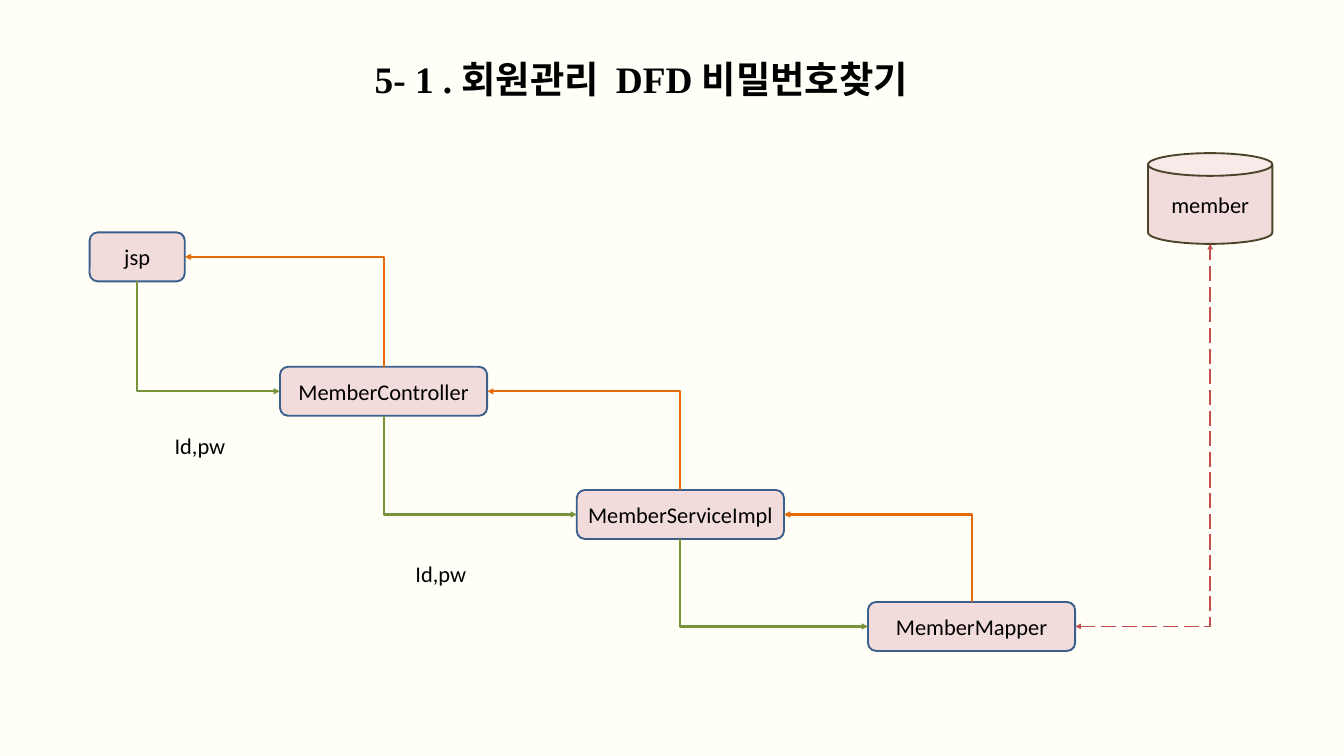
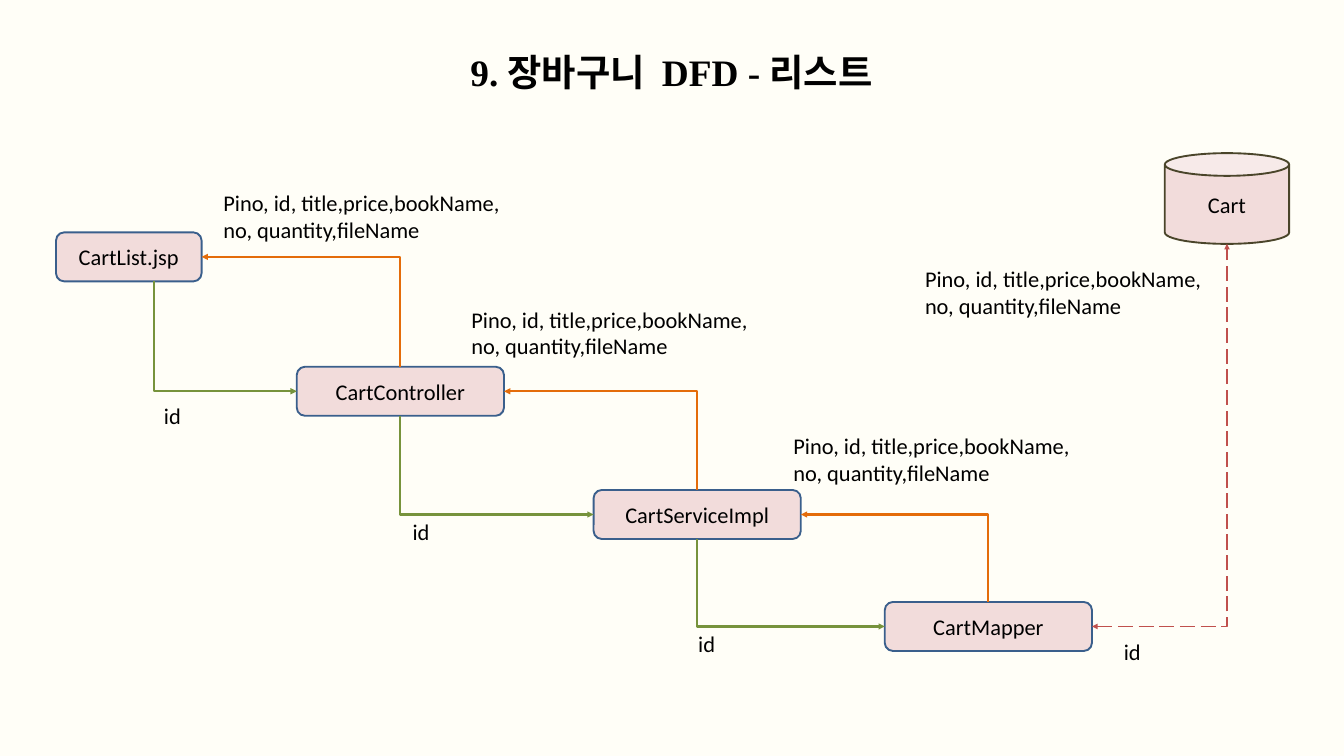
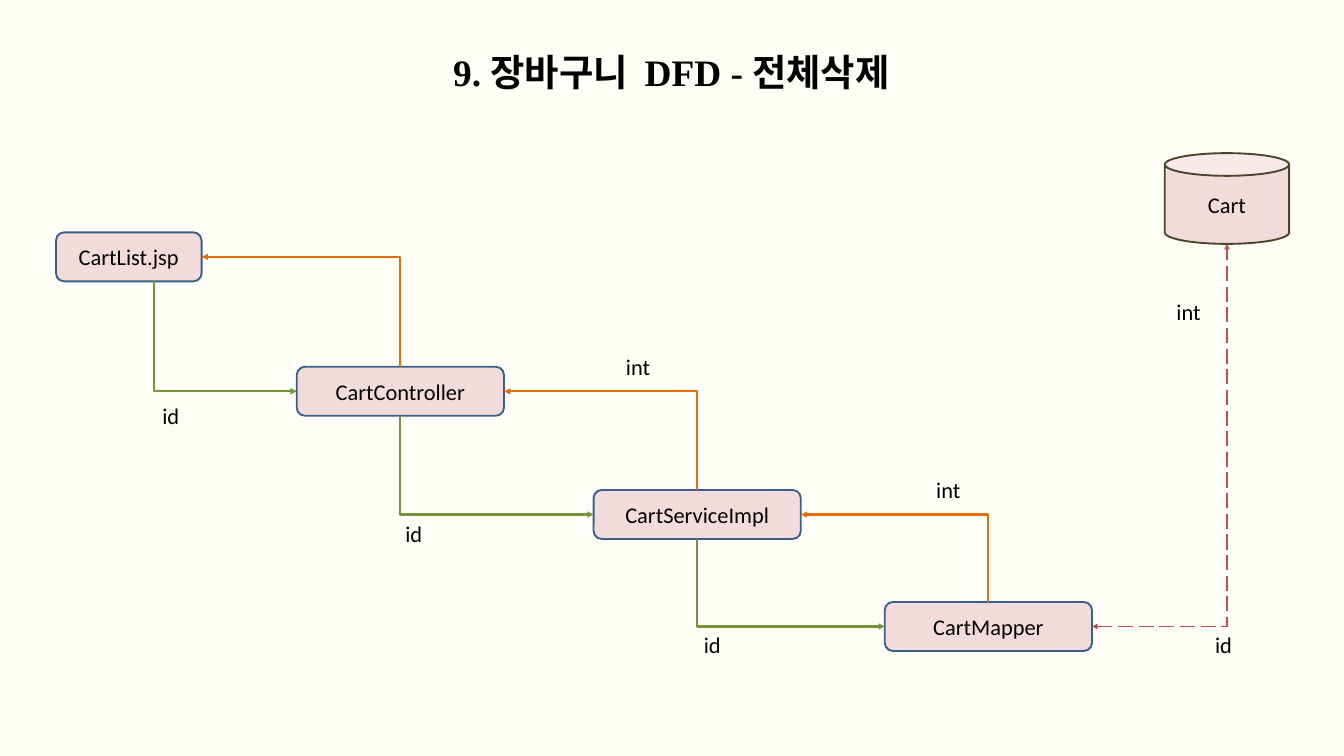
from lxml.etree import SubElement
from pptx import Presentation
from pptx.dml.color import RGBColor
from pptx.enum.dml import MSO_LINE_DASH_STYLE as Dash
from pptx.enum.shapes import MSO_CONNECTOR as Connector, MSO_SHAPE as Preset
from pptx.enum.text import MSO_ANCHOR as Anchor, MSO_AUTO_SIZE as Fit, PP_ALIGN as Align
from pptx.oxml.ns import qn
from pptx.util import Inches, Pt

COLUMNS, ROWS = 240, 135
TOP, LEFT, BOTTOM, RIGHT = range(4)
CAN_BOTTOM = 3  # a can has an extra connection site at its top

BOX_WIDTH, BOX_HEIGHT = 37, 8.75
LAYERS = [(50, 65.5), (103, 87.5), (155, 107.5)]
VIEW_ROW, VIEW_EXIT = 41.5, 24.5
STORE = (205, 27.35, 22.2, 16.2)

FIELDS = "Pino, id, title,price,bookName,\nno, quantity,fileName"
LABEL_SIZES = {"Id,pw": (11.5, 6), "id": (5.5, 6), "int": (6.8, 6), FIELDS: (53.2, 10.9)}


def colour(code):
    return RGBColor.from_string(code)


class Diagram:
    """Slide style plus the slide being drawn, measured in grid cells."""

    background, ink, fill = "FFFEF7", "000000", "F2DCDB"
    box_line, store_line = "3A5F8C", "4A452A"
    request, response, query = "77933C", "E46C0A", "C0504D"
    title_font, body_font = "Times New Roman", "Calibri"

    def __init__(self, deck):
        self.deck = deck
        self.slide = None

    def across(self, columns):
        return round(self.deck.slide_width * columns / COLUMNS)

    def down(self, rows):
        return round(self.deck.slide_height * rows / ROWS)

    def place(self, left, top, width, height):
        return self.across(left), self.down(top), self.across(width), self.down(height)

    def set_text(self, frame, text, font, size, align, bold=False):
        for index, line in enumerate(text.split("\n")):
            para = frame.paragraphs[0] if index == 0 else frame.add_paragraph()
            para.text = line
            para.alignment = align
            para.font.name, para.font.size, para.font.bold = font, Pt(size), bold
            para.font.color.rgb = colour(self.ink)

    def start(self, text, area):
        self.slide = self.deck.slides.add_slide(self.deck.slide_layouts[5])
        self.slide.background.fill.solid()
        self.slide.background.fill.fore_color.rgb = colour(self.background)
        title = self.slide.shapes.title
        title.left, title.top, title.width, title.height = self.place(*area)
        frame = title.text_frame
        frame.word_wrap, frame.auto_size = True, Fit.SHAPE_TO_FIT_TEXT
        frame.vertical_anchor = Anchor.TOP
        self.set_text(frame, text, self.title_font, 40, Align.CENTER, bold=True)

    def node(self, text, area, preset=Preset.ROUNDED_RECTANGLE, line=box_line):
        shape = self.slide.shapes.add_shape(preset, *self.place(*area))
        shape.shadow.inherit = False
        shape.fill.solid()
        shape.fill.fore_color.rgb = colour(self.fill)
        shape.line.color.rgb = colour(line)
        shape.line.width = Pt(2)
        shape.text_frame.word_wrap = True
        shape.text_frame.vertical_anchor = Anchor.MIDDLE
        self.set_text(shape.text_frame, text, self.body_font, 24, Align.CENTER)
        return shape

    def label(self, text, left, top):
        box = self.slide.shapes.add_textbox(*self.place(left, top, *LABEL_SIZES[text]))
        box.text_frame.word_wrap = False
        box.text_frame.auto_size = Fit.SHAPE_TO_FIT_TEXT
        self.set_text(box.text_frame, text, self.body_font, 24, Align.LEFT)

    def elbow(self, target, side, source, site, tint, exit_at=None, both_ways=False):
        """Run level from the target's side, then upright to the source; the head is at the target."""
        begin_x = target.left + (target.width if side == RIGHT else 0)
        begin_y = target.top + target.height // 2
        end_x = exit_at or source.left + source.width // 2
        end_y = source.top + (0 if site == TOP else source.height)
        link = self.slide.shapes.add_connector(Connector.ELBOW, begin_x, begin_y, end_x, end_y)
        link.begin_connect(target, side)
        if exit_at is None:
            link.end_connect(source, site)
            link.end_x, link.end_y = end_x, end_y
        properties = link._element.spPr
        properties.find(qn("a:prstGeom")).set("prst", "bentConnector2")
        link.line.color.rgb = colour(tint)
        link.line.width = Pt(2 if both_ways else 2.25)
        if both_ways:
            link.line.dash_style = Dash.LONG_DASH
        outline = properties.find(qn("a:ln"))
        for end in ("a:headEnd", "a:tailEnd")[: 2 if both_ways else 1]:
            SubElement(outline, qn(end), type="triangle")
        SubElement(properties, qn("a:effectLst"))

    def flow(self, names, view_left, view_width, shift=0):
        """Draw the stepped layers, the data store and the arrows between them."""
        view, *layers, store = names
        steps = [self.node(view, (view_left, VIEW_ROW, view_width, BOX_HEIGHT))]
        for name, (left, top) in zip(layers, LAYERS):
            steps.append(self.node(name, (left + shift, top, BOX_WIDTH, BOX_HEIGHT)))
        left, *rest = STORE
        database = self.node(store, (left + shift, *rest), Preset.CAN, self.store_line)

        view_exit = self.across(VIEW_EXIT + shift)
        for upper, lower in zip(steps, steps[1:]):
            exit_at = view_exit if upper is steps[0] else None
            self.elbow(lower, LEFT, upper, BOTTOM, self.request, exit_at)
            self.elbow(upper, RIGHT, lower, TOP, self.response)
        self.elbow(steps[-1], RIGHT, database, CAN_BOTTOM, self.query, both_ways=True)

    def labels(self, text, *spots):
        for left, top in spots:
            self.label(text, left, top)


def main():
    deck = Presentation()
    deck.slide_width, deck.slide_height = Inches(20), Inches(11.25)
    diagram = Diagram(deck)

    diagram.start("5- 1 . 회원관리  DFD 비밀번호찾기", (57, 9.5, 115, 9.2))
    diagram.flow(["jsp", "MemberController", "MemberServiceImpl", "MemberMapper", "member"], 16, 17)
    diagram.labels("Id,pw", (30, 76.5), (73, 99.5))

    cart_title = (69, 8.2, 101.8, 9.2)
    cart_names = ["CartList.jsp", "CartController", "CartServiceImpl", "CartMapper", "Cart"]

    diagram.start("9. 장바구니  DFD - 리스트", cart_title)
    diagram.flow(cart_names, 10, 26, shift=3)
    diagram.labels("id", (28.1, 71.3), (72.5, 91.9), (123.5, 111.9), (199.5, 113.3))
    diagram.labels(FIELDS, (38.7, 33.2), (83, 54), (140.5, 76.5), (164, 46.8))

    diagram.start("9. 장바구니  DFD - 전체삭제", cart_title)
    diagram.flow(cart_names, 10, 26, shift=3)
    diagram.labels("id", (27.8, 71.3), (71.2, 92.3), (124.5, 112.1), (215.8, 112.1))
    diagram.labels("int", (110.6, 62.5), (166, 84.5), (208.9, 52.7))

    deck.save("out.pptx")


if __name__ == "__main__":
    main()
